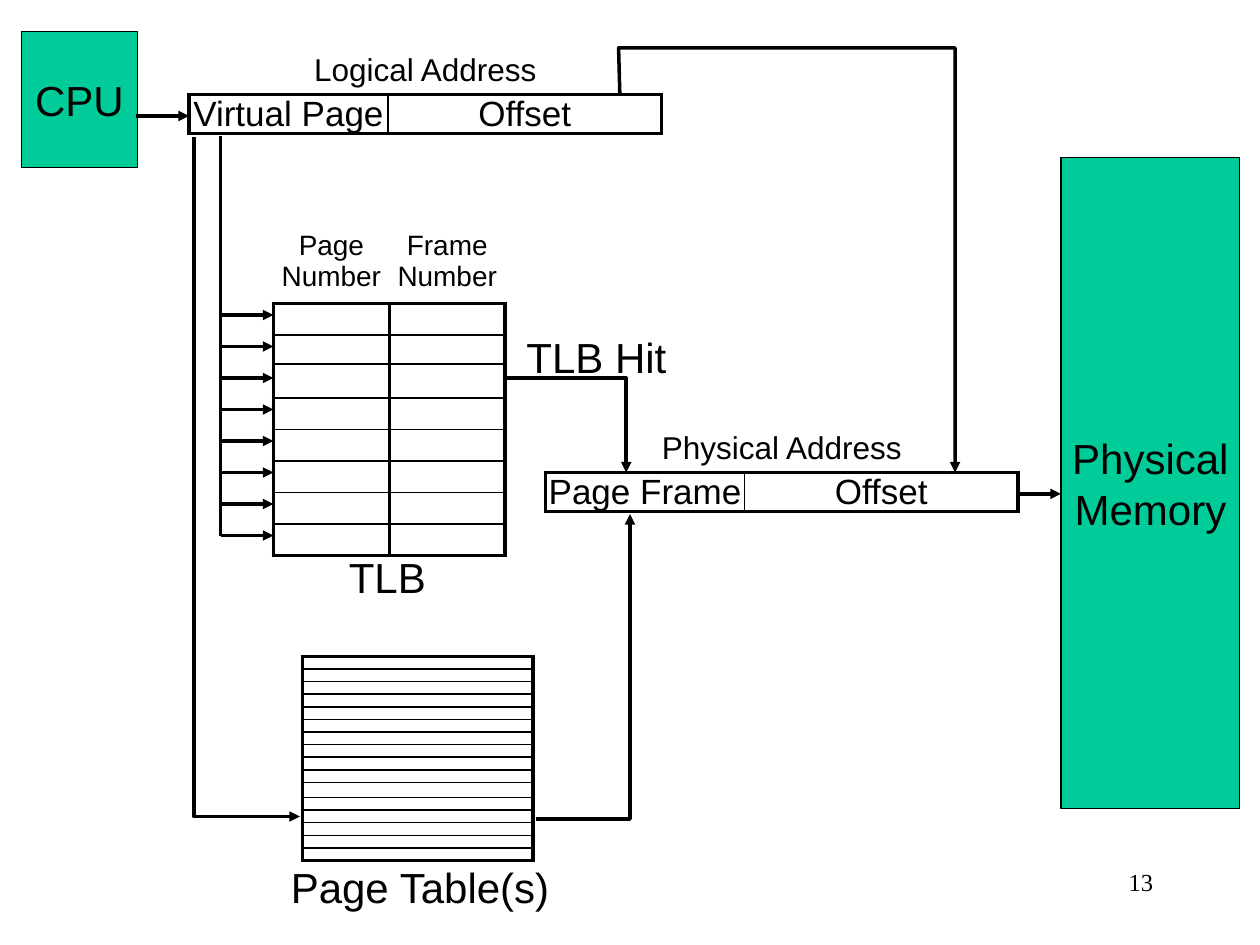
import pptx
import pptx.util
import pptx.dml.color
import pptx.enum.shapes
import pptx.enum.text
import pptx.oxml
import pptx.oxml.ns

Inches = pptx.util.Inches
Pt = pptx.util.Pt
hue = pptx.dml.color.RGBColor.from_string
qn = pptx.oxml.ns.qn
ALIGN = pptx.enum.text.PP_ALIGN
BLACK, GREEN = "000000", "00CC99"
XMLNS = 'xmlns:a="http://schemas.openxmlformats.org/drawingml/2006/main"'


def write(frame, text, size, align=ALIGN.CENTER, face="Arial"):
    for i, words in enumerate(text.split("\n")):
        para = frame.paragraphs[0] if i == 0 else frame.add_paragraph()
        para.alignment = align
        run = para.add_run()
        run.text = words
        run.font.size = Pt(size)
        run.font.name = face
        run.font.color.rgb = hue(BLACK)


def ink(shape, arrow=True):
    shape.line.color.rgb = hue(BLACK)
    shape.line.width = Pt(2)
    props = shape._element.spPr
    if arrow:
        tail = f'<a:tailEnd {XMLNS} type="triangle"/>'
        props.find(qn("a:ln")).append(pptx.oxml.parse_xml(tail))
    if props.find(qn("a:effectLst")) is None:
        props.append(pptx.oxml.parse_xml(f"<a:effectLst {XMLNS}/>"))


deck = pptx.Presentation()
deck.slide_width, deck.slide_height = Inches(10), Inches(7.5)
shapes = deck.slides.add_slide(deck.slide_layouts[6]).shapes

# CPU and memory blocks
for text, x, y, w, h in [
    ("CPU", 0.17, 0.25, 0.92, 1.08),
    ("Physical\nMemory", 8.42, 1.25, 1.42, 5.17),
]:
    block = shapes.add_shape(
        pptx.enum.shapes.MSO_SHAPE.RECTANGLE,
        Inches(x), Inches(y), Inches(w), Inches(h))
    block.shadow.inherit = False
    block.fill.solid()
    block.fill.fore_color.rgb = hue(GREEN)
    block.line.color.rgb = hue(BLACK)
    block.line.width = Pt(0.75)
    block.text_frame.word_wrap = False
    block.text_frame.vertical_anchor = pptx.enum.text.MSO_ANCHOR.MIDDLE
    write(block.text_frame, text, 24)

# Tables: place, columns, rows, heading rows, inner rule width, words by cell
fields = [1.58, 2.17]
tables = [
    (1.5, 0.42, fields, [0.33, 0.23], 1, 1,
     {(0, 0): ("Logical Address", 18), (1, 0): ("Virtual Page", 20),
      (1, 1): ("Offset", 20)}),
    (2.17, 1.83, [0.92] * 2,
     [0.58, 0.25, 0.23, 0.27] + [0.25] * 5, 1, 2.25,
     {(0, 0): ("Page Number", 16), (0, 1): ("Frame Number", 16)}),
    (2.4, 5.21, [1.83], [0.1] * 10 + [0.12] + [0.1] * 5, 0, 1, {}),
    (4.33, 3.42, fields, [0.33, 0.23], 1, 1,
     {(0, 0): ("Physical Address", 18), (1, 0): ("Page Frame", 20),
      (1, 1): ("Offset", 20)}),
]
for x, y, cols, rows, heads, inner, words in tables:
    table = shapes.add_table(
        len(rows), len(cols), Inches(x), Inches(y),
        Inches(sum(cols)), Inches(sum(rows))).table
    table.first_row = table.horz_banding = False
    for c, width in enumerate(cols):
        table.columns[c].width = Inches(width)
    for r, height in enumerate(rows):
        table.rows[r].height = Inches(height)
        for c in range(len(cols)):
            cell = table.cell(r, c)
            cell.margin_left = cell.margin_right = 0
            cell.margin_top = cell.margin_bottom = 0
            cell.fill.background()
            if (r, c) in words:
                write(cell.text_frame, *words[r, c])
            else:
                mark = f'<a:endParaRPr {XMLNS} sz="400"/>'
                cell.text_frame.paragraphs[0]._p.append(
                    pptx.oxml.parse_xml(mark))
            # Heavy frame round the body, thin rules within
            body = r >= heads
            edges = {
                "L": body and (2.25 if c == 0 else inner),
                "R": body and (2.25 if c == len(cols) - 1 else inner),
                "T": body and (2.25 if r == heads else 1),
                "B": 2.25 if r in (heads - 1, len(rows) - 1) else 1,
            }
            for i, (side, wide) in enumerate(edges.items()):
                paint = (f'<a:solidFill><a:srgbClr val="{BLACK}"/></a:solidFill>'
                         if wide else "<a:noFill/>")
                edge = (f'<a:ln{side} {XMLNS} w="{int(Pt(wide))}">'
                        f'{paint}</a:ln{side}>')
                cell._tc.get_or_add_tcPr().insert(
                    i, pptx.oxml.parse_xml(edge))
    if (0, 0) in words and (0, 1) not in words:
        table.cell(0, 0).merge(table.cell(0, 1))

# Straight lines: the trunk has no arrowhead, its eight branches do
lines = [(1.08, 0.92, 1.5, 0.92, True), (8.08, 3.92, 8.42, 3.92, True),
         (1.75, 1.08, 1.75, 4.25, False)]
for i in range(8):
    lines.append((1.75, 2.5 + i * 0.25, 2.17, 2.5 + i * 0.25, True))
for x1, y1, x2, y2, arrow in lines:
    link = shapes.add_connector(
        pptx.enum.shapes.MSO_CONNECTOR.STRAIGHT,
        Inches(x1), Inches(y1), Inches(x2), Inches(y2))
    ink(link, arrow)

# Bent arrows
for route in [
    [(1.54, 1.09), (1.54, 6.48), (2.38, 6.48)],
    [(4.02, 3), (4.97, 3), (4.97, 3.75)],
    [(4.25, 6.5), (5, 6.5), (5, 4.08)],
    [(4.92, 0.75), (4.91, 0.38), (7.58, 0.38), (7.58, 3.75)],
]:
    dots = [(Inches(x), Inches(y)) for x, y in route]
    pen = shapes.build_freeform(*dots[0])
    pen.add_line_segments(dots[1:], close=False)
    bend = pen.convert_to_shape()
    bend.fill.background()
    ink(bend)

# Labels and page number
for text, x, y, w, size, align, face in [
    ("TLB Hit", 4.08, 2.58, 1.83, 24, ALIGN.LEFT, "Arial"),
    ("TLB", 2.67, 4.33, 0.92, 24, ALIGN.LEFT, "Arial"),
    ("Page Table(s)", 2.21, 6.79, 2.67, 24, ALIGN.LEFT, "Arial"),
    ("13", 7.17, 6.83, 2.08, 14, ALIGN.RIGHT, "Times New Roman"),
]:
    label = shapes.add_textbox(Inches(x), Inches(y), Inches(w), Inches(0.5))
    label.text_frame.word_wrap = True
    write(label.text_frame, text, size, align, face)

deck.save("out.pptx")
